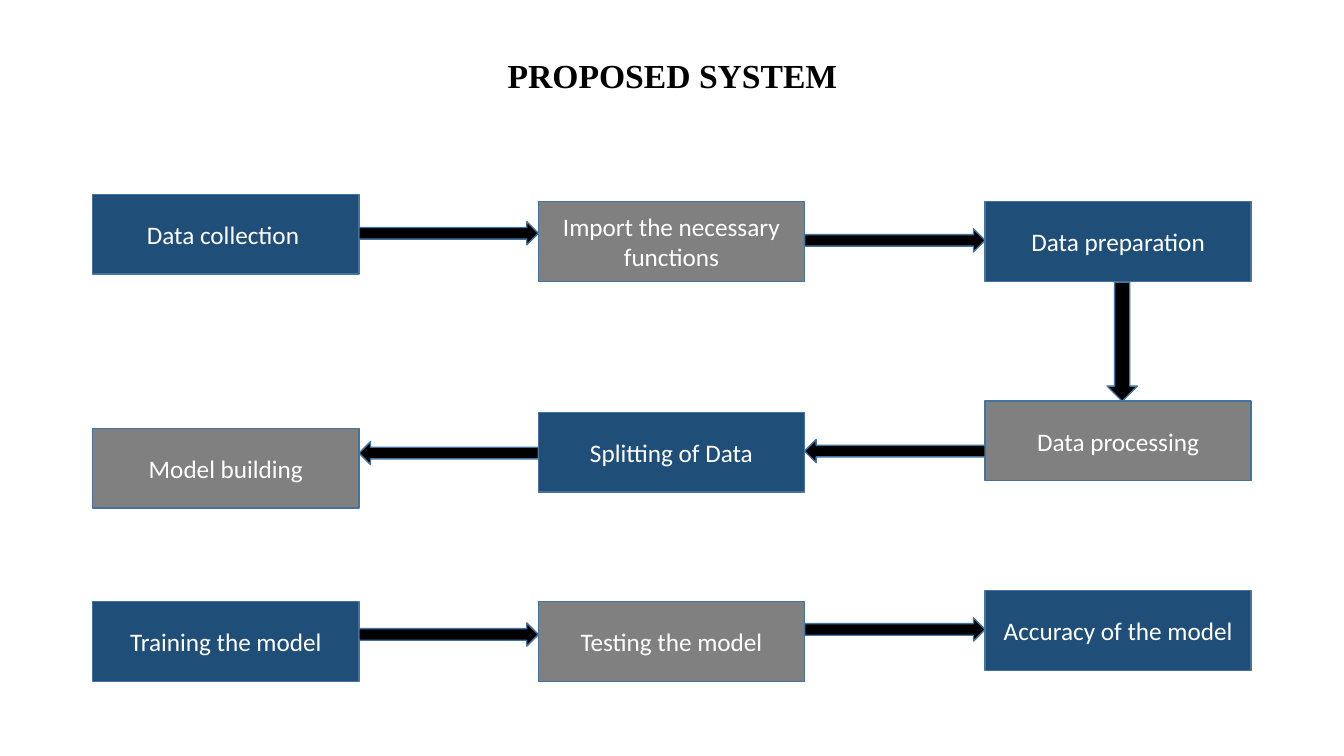
from dataclasses import dataclass

from pptx import Presentation
from pptx.dml.color import RGBColor
from pptx.enum.shapes import MSO_SHAPE
from pptx.enum.text import MSO_ANCHOR, PP_ALIGN
from pptx.util import Inches, Pt

RECT = MSO_SHAPE.RECTANGLE
ARROW = MSO_SHAPE.RIGHT_ARROW
MIDDLE = MSO_ANCHOR.MIDDLE
CENTER = PP_ALIGN.CENTER


@dataclass(frozen=True)
class Theme:
    navy: str = "1F4E79"
    gray: str = "808080"
    edge: str = "43739E"
    black: str = "000000"
    white: str = "FFFFFF"
    head: str = "Times New Roman"
    body: str = "Calibri"
    head_size: int = 24
    body_size: int = 18
    line: int = 1


LEFTS = (0.92, 5.34, 9.77)
BOX_W, BOX_H = 2.64, 0.79
ARROW_H = 0.23

# Steps in order of flow: column, top, text
STEPS = (
    (0, 1.93, "Data collection "),
    (1, 2.0, "Import the necessary functions"),
    (2, 2.0, "Data preparation"),
    (2, 3.98, "Data processing"),
    (1, 4.09, "Splitting of Data"),
    (0, 4.25, "Model building"),
    (0, 5.97, "Training the model"),
    (1, 5.97, "Testing the model"),
    (2, 5.86, "Accuracy of the model"),
)

# Arrows between columns: gap, top, turn
LINKS = (
    (0, 2.2, 0),
    (1, 2.27, 0),
    (0, 6.18, 0),
    (1, 6.13, 0),
    (0, 4.38, 180),
    (1, 4.36, 180),
)


def put_text(frame, text, *, font, size, color, bold=False, space=1.0):
    """Fill a frame with one centred paragraph."""
    frame.word_wrap = True
    frame.vertical_anchor = MIDDLE
    para = frame.paragraphs[0]
    para.alignment = CENTER
    para.line_spacing = space
    run = para.add_run()
    run.text = text
    run.font.name = font
    run.font.size = Pt(size)
    run.font.bold = bold
    run.font.color.rgb = RGBColor.from_string(color)


class Deck:
    def __init__(self, theme):
        self.theme = theme
        self.file = Presentation()
        self.file.slide_width = Inches(13.33)
        self.file.slide_height = Inches(7.5)
        self.slide = self.file.slides.add_slide(self.file.slide_layouts[6])

    def title(self, text, left, top, width, height, below):
        """Add a heading that keeps the given space free below it."""
        area = map(Inches, (left, top, width, height))
        frame = self.slide.shapes.add_textbox(*area).text_frame
        frame.margin_bottom = Inches(below)
        put_text(frame, text, font=self.theme.head, size=self.theme.head_size,
                 color=self.theme.black, bold=True, space=0.9)

    def shape(self, kind, left, top, width, height, fill):
        area = map(Inches, (left, top, width, height))
        shape = self.slide.shapes.add_shape(kind, *area)
        shape.shadow.inherit = False
        shape.fill.solid()
        shape.fill.fore_color.rgb = RGBColor.from_string(fill)
        shape.line.color.rgb = RGBColor.from_string(self.theme.edge)
        shape.line.width = Pt(self.theme.line)
        return shape

    def box(self, text, left, top, fill):
        box = self.shape(RECT, left, top, BOX_W, BOX_H, fill)
        put_text(box.text_frame, text, font=self.theme.body,
                 size=self.theme.body_size, color=self.theme.white)

    def arrow(self, left, top, width, height, turn):
        arrow = self.shape(ARROW, left, top, width, height, self.theme.black)
        arrow.rotation = turn


def main():
    theme = Theme()
    deck = Deck(theme)
    deck.title("PROPOSED SYSTEM", LEFTS[0], 0.4, 11.5, 1.45, below=0.76)

    fills = (theme.navy, theme.gray)
    for order, (col, top, text) in enumerate(STEPS):
        # Colours alternate along each row and down the turns
        row, place = divmod(order, 3)
        deck.box(text, LEFTS[col], top, fills[(row + place) % 2 if row < 2 else place % 2])

    for gap, top, turn in LINKS:
        start = LEFTS[gap] + BOX_W
        deck.arrow(start, top, LEFTS[gap + 1] - start, ARROW_H, turn)
    deck.arrow(10.54, 3.24, 1.18, 0.3, 90)

    deck.file.save("out.pptx")


if __name__ == "__main__":
    main()
